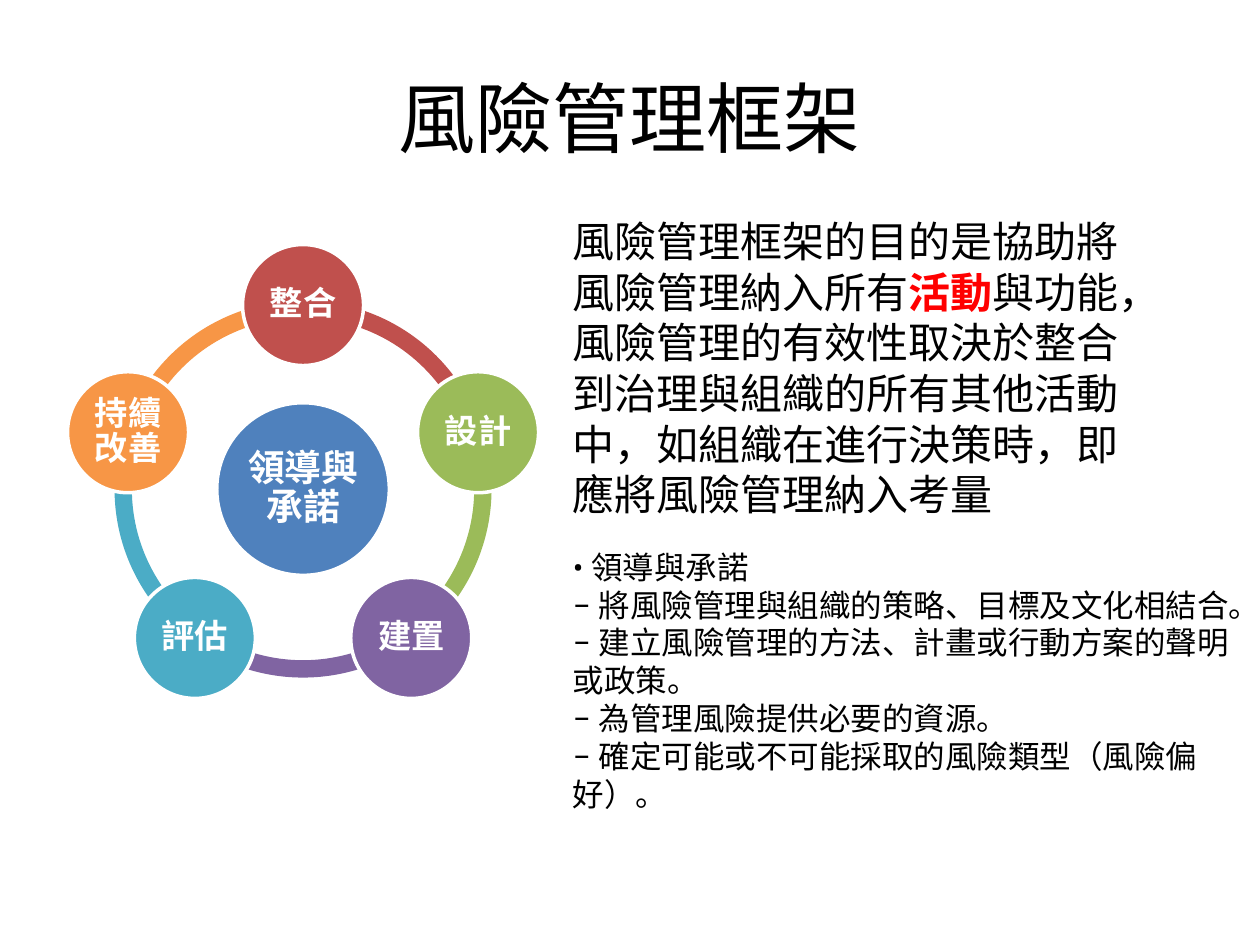
from math import cos, radians, sin, sqrt

from pptx import Presentation
from pptx.dml.color import RGBColor
from pptx.enum.shapes import MSO_SHAPE
from pptx.enum.text import MSO_ANCHOR, PP_ALIGN
from pptx.oxml.ns import qn
from pptx.util import Cm, Pt

LATIN, HAN, SIGN = "Calibri", "Noto Sans CJK TC", "Roboto"
BLACK, WHITE, RED, BLUE = "000000", "FFFFFF", "FF0000", "4F81BD"
NODES = [("整合", "C0504D"), ("設計", "9BBB59"), ("建置", "8064A2"),
         ("評估", "4BACC6"), ("持續改善", "F79646")]
POINTS = ["將風險管理與組織的策略、目標及文化相結合。",
          "建立風險管理的方法、計畫或行動方案的聲明或政策。",
          "為管理風險提供必要的資源。",
          "確定可能或不可能採取的風險類型（風險偏好）。"]


def paint(part, color):
    """Give a fill or a font one solid hex colour."""
    part.solid()
    part.fore_color.rgb = RGBColor.from_string(color)


def add_run(para, text, size, face, color=BLACK, bold=False):
    """Add one styled run to a paragraph."""
    run = para.add_run()
    run.text = text
    font = run.font
    font.size, font.name, font.bold = Pt(size), face, bold
    paint(font.fill, color)
    font.fill._xPr.find(qn("a:latin")).addnext(
        font.fill._xPr.makeelement(qn("a:ea"), {"typeface": face}))


def add_text(shapes, box, paras, align=PP_ALIGN.LEFT, space=None,
             anchor=MSO_ANCHOR.TOP, inset=None):
    """Add a wrapped text box whose paragraphs are lists of runs."""
    frame = shapes.add_textbox(*map(Cm, box)).text_frame
    frame.word_wrap = True
    frame.vertical_anchor = anchor
    if inset is not None:
        frame.margin_left = frame.margin_right = Cm(inset)
        frame.margin_top = frame.margin_bottom = Cm(inset)
    for i, runs in enumerate(paras):
        para = frame.add_paragraph() if i else frame.paragraphs[0]
        para.alignment = align
        if space:
            para.line_spacing = space
        for run in runs:
            add_run(para, *run)


def add_form(shapes, kind, x, y, size, color):
    """Add a plain square shape centred on a point."""
    form = shapes.add_shape(kind, Cm(x - size / 2), Cm(y - size / 2),
                            Cm(size), Cm(size))
    form.shadow.inherit = False
    paint(form.fill, color)
    form.line.fill.background()
    return form


def add_disc(shapes, x, y, size, text, points, color):
    """Add a white-edged circle with its label in the inner square."""
    disc = add_form(shapes, MSO_SHAPE.OVAL, x, y, size, color)
    paint(disc.line.fill, WHITE)
    disc.line.width = Pt(2)
    side = size / sqrt(2)
    add_text(shapes, (x - side / 2, y - side / 2, side, side),
             [[(text, points, LATIN, WHITE, True)]],
             PP_ALIGN.CENTER, 0.9, MSO_ANCHOR.MIDDLE, 0.08)


def add_title(slide, box):
    """Place the slide title."""
    add_text(slide.shapes, box, [[("風險管理框架", 44, LATIN)]],
             PP_ALIGN.CENTER, None, MSO_ANCHOR.MIDDLE)


def add_cycle(slide, box):
    """Place the hub, the ring of arcs and the nodes around it."""
    left, top, width, height = box
    node, ring = 2.44, 7.6
    reach = 3.71
    x, y = left + width / 2, top + node / 2 + reach
    step = 360 / len(NODES)
    shapes = slide.shapes.add_group_shape().shapes
    for i, (_, color) in reversed(list(enumerate(NODES))):
        arc = add_form(shapes, MSO_SHAPE.BLOCK_ARC, x, y, ring, color)
        start = 270 + i * step
        for k, angle in enumerate((start, start + step)):
            arc.adjustments[k] = angle % 360 * 0.6
        arc.adjustments[2] = 0.046
    add_disc(shapes, x, y, 3.48, "領導與承諾", 21, BLUE)
    for i, (text, color) in enumerate(NODES):
        turn = radians(270 + i * step)
        add_disc(shapes, x + reach * cos(turn), y + reach * sin(turn),
                 node, text, 19, color)


def add_aim(slide, box):
    """Place the paragraph on the purpose of the framework."""
    add_text(slide.shapes, box, [[
        ("風險管理框架的目的是協助將風險管理納入所有", 24, HAN),
        ("活動", 24, HAN, RED, True),
        ("與功能，風險管理的有效性取決於整合到治理與組織的所有其他活動中，"
         "如組織在進行決策時，即應將風險管理納入考量", 24, HAN)]],
        space=Pt(28.9))


def add_list(slide, box):
    """Place the list of leadership duties."""
    rows = [("• ", "領導與承諾")] + [("‒ ", text) for text in POINTS]
    add_text(slide.shapes, box,
             [[(mark, 18, SIGN), (text, 18, HAN)] for mark, text in rows],
             space=Pt(21.6))


def main():
    """Build and save the slide."""
    deck = Presentation()
    deck.slide_width, deck.slide_height = Cm(25.4), Cm(19.05)
    slide = deck.slides.add_slide(deck.slide_layouts[6])
    add_title(slide, (1.27, 0.76, 22.86, 3.18))
    add_cycle(slide, (1.36, 4.93, 9.5, 9.15))
    add_aim(slide, (11.3, 4.22, 11.91, 6.4))
    add_list(slide, (11.3, 10.92, 14.1, 5.64))
    deck.save("out.pptx")


if __name__ == "__main__":
    main()
